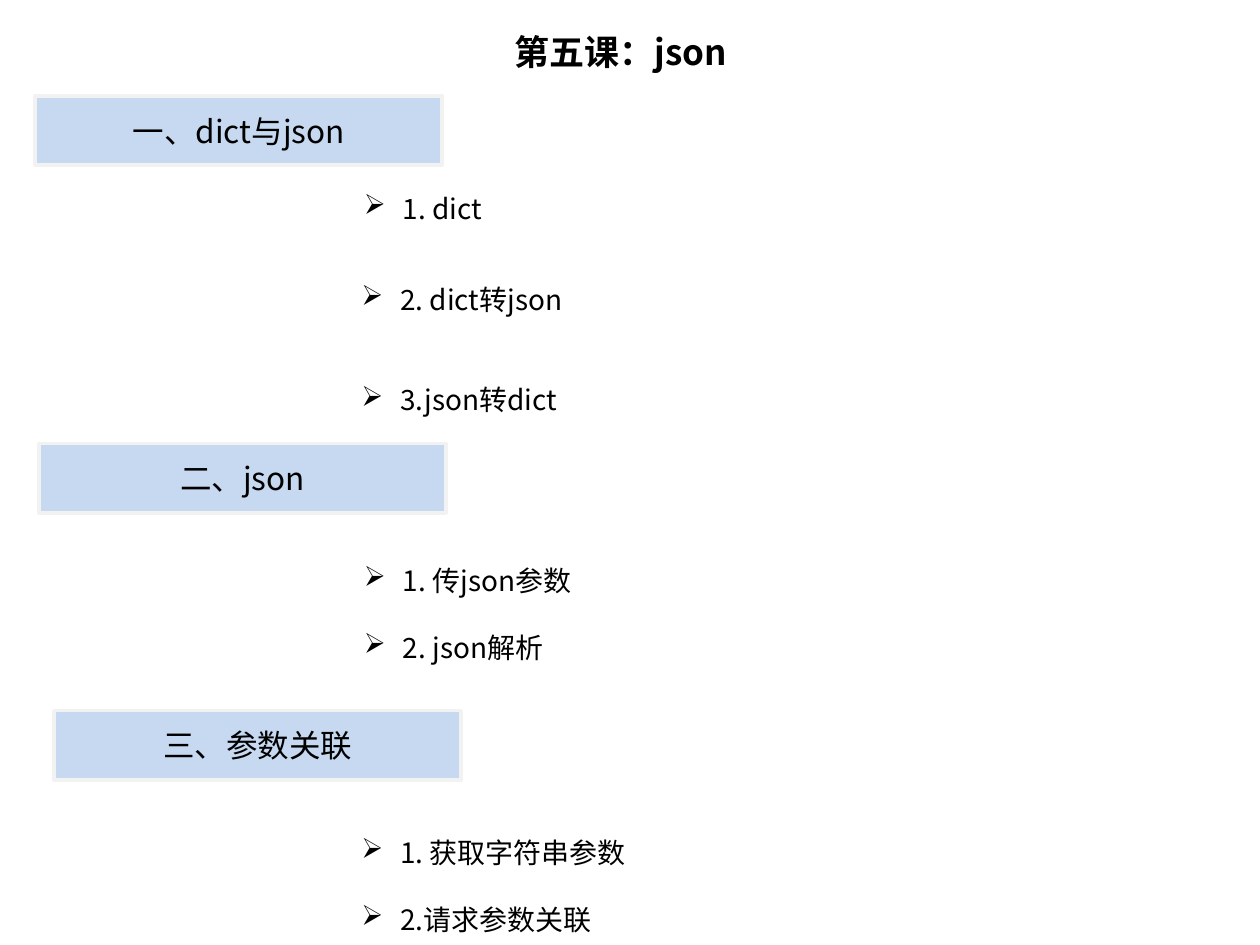
from dataclasses import dataclass
from typing import NamedTuple

from lxml.etree import SubElement
from pptx import Presentation
from pptx.dml.color import RGBColor as Color
from pptx.enum.shapes import MSO_SHAPE as Shape
from pptx.enum.text import MSO_ANCHOR as Anchor, MSO_AUTO_SIZE as AutoSize, PP_ALIGN as Align
from pptx.oxml.ns import qn
from pptx.util import Inches, Pt


@dataclass(frozen=True)
class Theme:
    font: str = "Noto Sans CJK SC"
    ink: str = "000000"
    band: str = "C6D9F1"
    edge: str = "F2F2F2"
    edge_width: float = 2
    title_size: float = 20
    heading_size: float = 18
    item_size: float = 16
    item_line: float = 20.6
    item_row: float = 19.2
    indent: float = 0.31
    bullet: str = "➢"


class Box(NamedTuple):
    left: float
    top: float
    width: float
    height: float

    def lengths(self):
        return [Inches(units * CELL) for units in self]


THEME = Theme()
COLUMNS, ROWS, CELL = 100, 75, 0.1
HEADING_SIZE = (32.3, 5.5)

HEADINGS = [
    ("一、dict与json", 2.8, 7.6),
    ("二、json", 3.1, 35.2),
    ("三、参数关联", 4.3, 56.4),
]
LISTS = [
    (Box(27.9, 14.5, 39.3, 3.7), ["1. dict"], 1),
    (Box(27.7, 21.7, 33.1, 11.8), ["2. dict转json", "3.json转dict"], 3),
    (Box(27.9, 44, 39.3, 9.1), ["1. 传json参数", "2. json解析"], 2),
    (Box(27.7, 65.6, 39.3, 9.1), ["1. 获取字符串参数", "2.请求参数关联"], 2),
]


def add_span(para, text, size, bold=False):
    span = para.add_run()
    span.text = text
    span.font.name = THEME.font
    span.font.size = Pt(size)
    span.font.bold = bold
    span.font.color.rgb = Color.from_string(THEME.ink)
    SubElement(span.font._element, qn("a:ea"), typeface=THEME.font)


def add_centered(frame, text, size, bold=False):
    frame.word_wrap = True
    frame.vertical_anchor = Anchor.MIDDLE
    para = frame.paragraphs[0]
    para.alignment = Align.CENTER
    add_span(para, text, size, bold)


def add_bullet(para):
    props = para._p.get_or_add_pPr()
    indent = Inches(THEME.indent)
    props.set("marL", str(indent))
    props.set("indent", str(-indent))
    SubElement(props, qn("a:buChar"), char=THEME.bullet)


def add_title(page, box, text):
    title = page.shapes.add_textbox(*box.lengths())
    add_centered(title.text_frame, text, THEME.title_size, bold=True)


def add_heading(page, box, text):
    band = page.shapes.add_shape(Shape.RECTANGLE, *box.lengths())
    band.shadow.inherit = False
    band.fill.solid()
    band.fill.fore_color.rgb = Color.from_string(THEME.band)
    band.line.color.rgb = Color.from_string(THEME.edge)
    band.line.width = Pt(THEME.edge_width)
    add_centered(band.text_frame, text, THEME.heading_size)


def add_list(page, box, items, rows_apart):
    frame = page.shapes.add_textbox(*box.lengths()).text_frame
    frame.word_wrap = True
    frame.auto_size = AutoSize.SHAPE_TO_FIT_TEXT
    for index, item in enumerate(items):
        para = frame.add_paragraph() if index else frame.paragraphs[0]
        para.line_spacing = Pt(THEME.item_line)
        if index:
            para.space_before = Pt(rows_apart * THEME.item_row - THEME.item_line)
        add_bullet(para)
        add_span(para, item, THEME.item_size)


def main():
    deck = Presentation()
    deck.slide_width = Inches(COLUMNS * CELL)
    deck.slide_height = Inches(ROWS * CELL)
    page = deck.slides.add_slide(deck.slide_layouts[6])
    add_title(page, Box(3.5, 1.3, 91.5, 5.5), "第五课：json")
    for text, left, top in HEADINGS:
        add_heading(page, Box(left, top, *HEADING_SIZE), text)
    for box, items, rows_apart in LISTS:
        add_list(page, box, items, rows_apart)
    deck.save("out.pptx")


if __name__ == "__main__":
    main()
